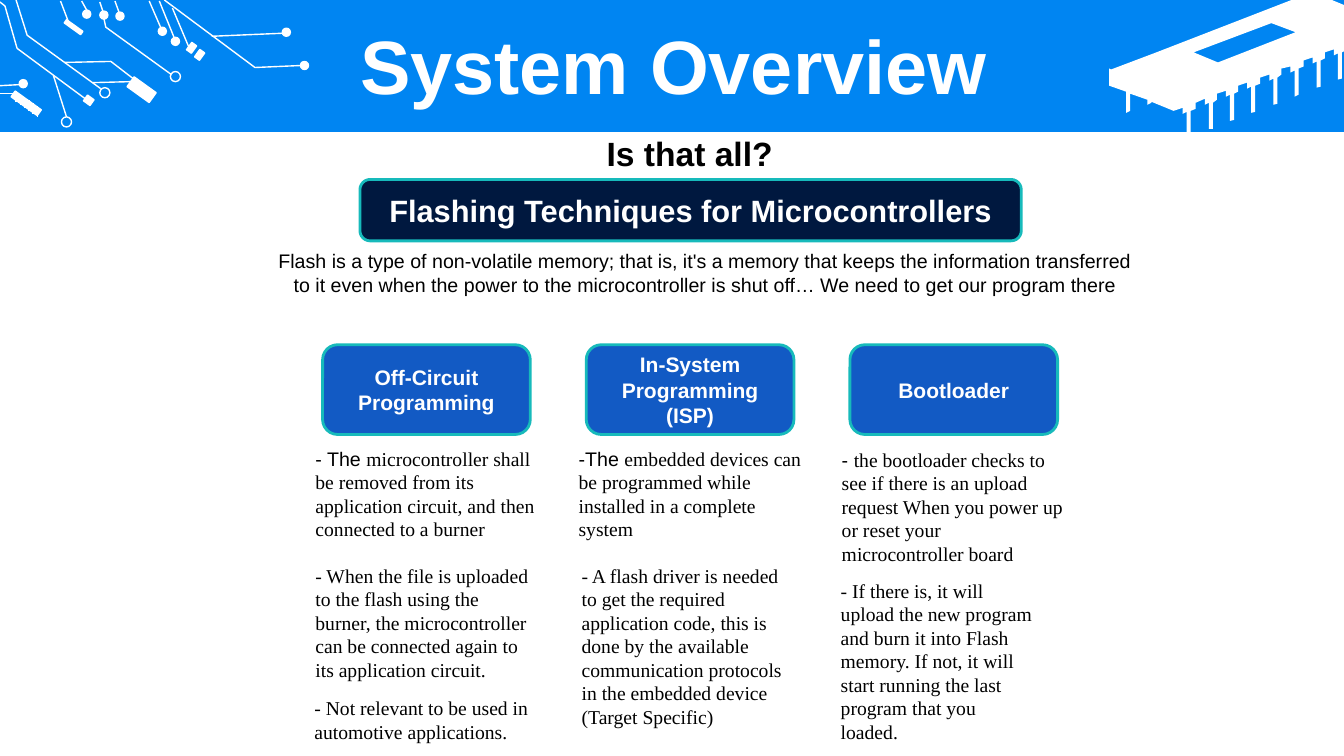
from lxml.etree import SubElement
from pptx import Presentation
from pptx.dml.color import RGBColor
from pptx.enum.shapes import MSO_CONNECTOR, MSO_SHAPE
from pptx.enum.text import MSO_ANCHOR, PP_ALIGN
from pptx.oxml.ns import qn
from pptx.util import Inches, Pt

# The slide is a grid of 1333 columns by 750 rows
CELL = Inches(0.01)
COLS, ROWS = 1333, 750
SANS, SERIF = "Arial", "Times New Roman"
WHITE, BLACK, BLUE = "FFFFFF", "000000", "0085F2"
NAVY, ROYAL, TEAL = "00183F", "125AC4", "17BABB"
TILT = 35.7


def cells(*nums):
    return [round(n * CELL) for n in nums]


def color(code):
    return RGBColor.from_string(code)


def paint(shape, fill=None, line=None, width=1):
    shape.shadow.inherit = False
    if fill:
        shape.fill.solid()
        shape.fill.fore_color.rgb = color(fill)
    else:
        shape.fill.background()
    if line:
        shape.line.color.rgb = color(line)
        shape.line.width = Pt(width)
    else:
        shape.line.fill.background()
    return shape


def block(slide, kind, at, turn=0, **look):
    shape = slide.shapes.add_shape(kind, *cells(*at))
    shape.rotation = turn
    return paint(shape, **look)


def write(shape, *paras, size=14, font=SANS, ink=BLACK, bold=False,
          align=PP_ALIGN.LEFT, anchor=MSO_ANCHOR.TOP, space=None):
    """Each paragraph is a string, or a list of (text, font) runs."""
    frame = shape.text_frame
    frame.word_wrap = True
    frame.vertical_anchor = anchor
    for i, para in enumerate(paras):
        line = frame.add_paragraph() if i else frame.paragraphs[0]
        line.alignment = align
        line.line_spacing = space
        for text, face in [(para, font)] if isinstance(para, str) else para:
            run = line.add_run()
            run.text = text
            run.font.name, run.font.size = face, Pt(size)
            run.font.bold = bold
            run.font.color.rgb = color(ink)


def label(slide, at, *paras, **form):
    write(slide.shapes.add_textbox(*cells(*at)), *paras, **form)


def panel(slide, at, fill, *paras, size):
    shape = block(slide, MSO_SHAPE.ROUNDED_RECTANGLE, at,
                  fill=fill, line=TEAL, width=2)
    write(shape, *paras, size=size, ink=WHITE, bold=True,
          align=PP_ALIGN.CENTER, anchor=MSO_ANCHOR.MIDDLE)


def wire(slide, ends, plug=None):
    spots = cells(*ends)
    line = slide.shapes.add_connector(MSO_CONNECTOR.STRAIGHT, *spots)
    if plug is not None:
        line.end_connect(plug, 1)
        # The plug is tilted, so its left side sits at the given end
        line.end_x, line.end_y = spots[2:]
    line.line.color.rgb = color(WHITE)
    line.line.width = Pt(1)
    SubElement(line.element.spPr, qn("a:effectLst"))


def trace(slide, *loops, close=False, **look):
    pen = slide.shapes.build_freeform(*loops[0][0], scale=CELL)
    for i, loop in enumerate(loops):
        if i:
            pen.move_to(*loop[0])
        pen.add_line_segments(loop[1:], close=close)
    paint(pen.convert_to_shape(), **look)


def chip(slide):
    hole = [(1261, 23), (1184, 52), (1208, 62), (1285, 32)]
    edge = [(1281, 0), (1321, 0), (1333, 5), (1333, 51)]
    # Eight pins step down to the left
    tooth = [(0, 0), (0, 26), (-4, 27), (-4, 1), (-8, 3), (-8, -3),
             (-17, 0), (-17, 6)]
    for k in range(8):
        x, y = 1331 - 21.4 * k, 52 + 8.25 * k
        edge += [(x + dx, y + dy) for dx, dy in tooth]
    edge.pop()
    edge += [(1142, 101), (1142, 102), (1138, 104), (1138, 99), (1121, 93),
             (1121, 110), (1117, 112), (1117, 91), (1100, 85), (1100, 68),
             (1102, 69), (1147, 52)]
    trace(slide, hole, edge, close=True, fill=WHITE)


def board(slide):
    # Tilted parts, then solid dots and open rings
    parts = [(127, 83, 27, 12), (187, 43, 6, 9), (10, 99, 32, 7),
             (63, 25, 20, 4), (84, 96, 8, 7), (195, 50, 6, 9)]
    plug, clip, comb = [block(slide, MSO_SHAPE.RECTANGLE, at, TILT,
                              fill=WHITE, line=WHITE) for at in parts][:3]
    for x, y in [(298, 61), (280, 28), (82, 10), (99, 11), (115, 12),
                 (19, 79), (170, 37), (157, 27)]:
        block(slide, MSO_SHAPE.OVAL, (x, y, 8, 8), fill=WHITE, line=WHITE)
    for x, y in [(169, 71), (99, 87), (61, 116)]:
        block(slide, MSO_SHAPE.OVAL, (x, y, 10, 10), line=WHITE)
    # Bent tracks
    for track in [[(163, 0), (253, 67), (299, 65)],
                  [(16, 0), (27, 35), (100, 88)],
                  [(0, 2), (5, 6), (17, 48), (86, 99)],
                  [(64, 62), (110, 61), (132, 78)],
                  [(103, 18), (105, 27), (170, 74)]]:
        trace(slide, track, line=WHITE)
    # Straight tracks
    for ends in [(60, 1, 68, 22), (81, 1, 86, 10), (99, 2, 102, 11),
                 (114, 1, 118, 12), (148, 1, 161, 31), (158, 1, 173, 38),
                 (210, 36, 280, 33), (0, 85, 19, 84), (53, 75, 66, 116)]:
        wire(slide, ends)
    wire(slide, (171, 8, 187, 46), clip)
    wire(slide, (0, 93, 14, 93), comb)
    wire(slide, (92, 82, 130, 81), plug)
    for k in range(6):
        x, y = 16 + 4.2 * k, 101 + 3 * k
        wire(slide, (x, y, x, y - 11))


def main():
    deck = Presentation()
    deck.slide_width, deck.slide_height = cells(COLS, ROWS)
    slide = deck.slides.add_slide(deck.slide_layouts[6])
    mid = PP_ALIGN.CENTER

    # Header band
    block(slide, MSO_SHAPE.RECTANGLE, (0, 0, COLS, 131), fill=BLUE)
    chip(slide)
    board(slide)
    label(slide, (35, 30, 1266, 79), "System Overview", size=54, ink=WHITE,
          bold=True, align=mid, anchor=MSO_ANCHOR.MIDDLE, space=0.9)

    # Topic and its summary
    label(slide, (479, 127, 410, 50), "Is that all?", size=24, bold=True,
          align=mid)
    panel(slide, (357, 178, 656, 61), NAVY,
          "Flashing Techniques for Microcontrollers", size=22)
    label(slide, (257, 242, 885, 57),
          "Flash is a type of non-volatile memory; that is, it's a memory "
          "that keeps the information transferred to it even when the power "
          "to the microcontroller is shut off… We need to get our program "
          "there", align=mid)

    # Three techniques: heading, then notes as (left, top, width, height)
    cards = [
        (["Off-Circuit Programming"], [
            ((303, 438, 241, 104), [
                ("- The ", SANS),
                ("microcontroller shall be removed from its application "
                 "circuit, and then connected to a burner", SERIF)]),
            ((303, 554, 234, 128),
             "- When the file is uploaded to the flash using the burner, the "
             "microcontroller can be connected again to its application "
             "circuit."),
            ((302, 686, 234, 57),
             "- Not relevant to be used in automotive applications.")]),
        (["In-System Programming", "(ISP)"], [
            ((564, 438, 241, 104), [
                ("-The ", SANS),
                ("embedded devices can be programmed while installed in a "
                 "complete system", SERIF)]),
            ((567, 554, 231, 175),
             "- A flash driver is needed to get the required application "
             "code, this is done by the available communication protocols in "
             "the embedded device (Target Specific)")]),
        (["Bootloader"], [
            ((825, 439, 241, 128), [
                ("- ", SANS),
                ("the bootloader checks to see if there is an upload request "
                 "When you power up or reset your microcontroller board",
                 SERIF)]),
            ((824, 569, 214, 175),
             "- If there is, it will upload the new program and burn it into "
             "Flash memory. If not, it will start running the last program "
             "that you loaded.")]),
    ]
    for i, (head, notes) in enumerate(cards):
        panel(slide, (320 + 261.5 * i, 342, 206, 89), ROYAL, *head, size=15)
        for at, text in notes:
            label(slide, at, text, font=SERIF)

    deck.save("out.pptx")


if __name__ == "__main__":
    main()
